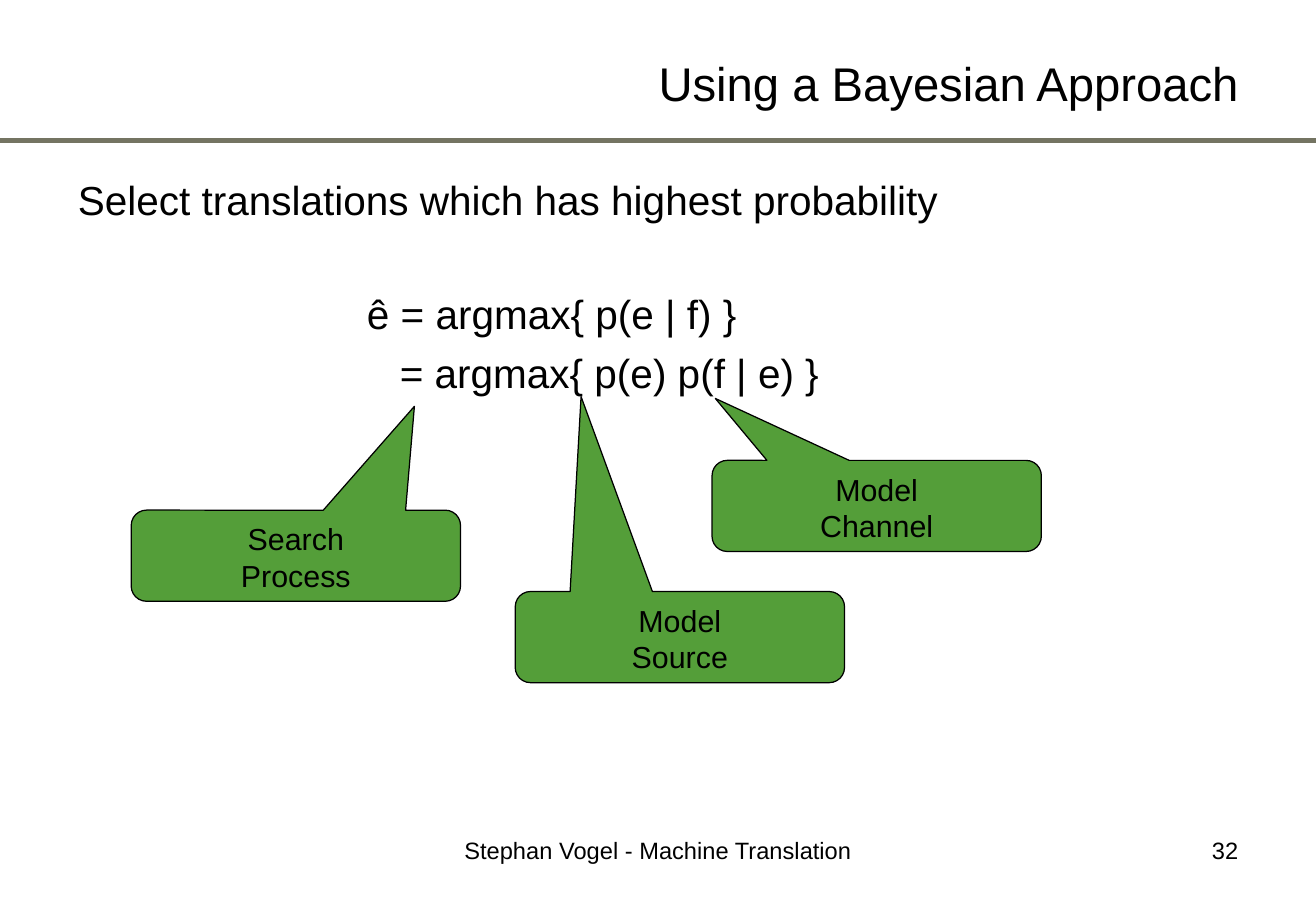
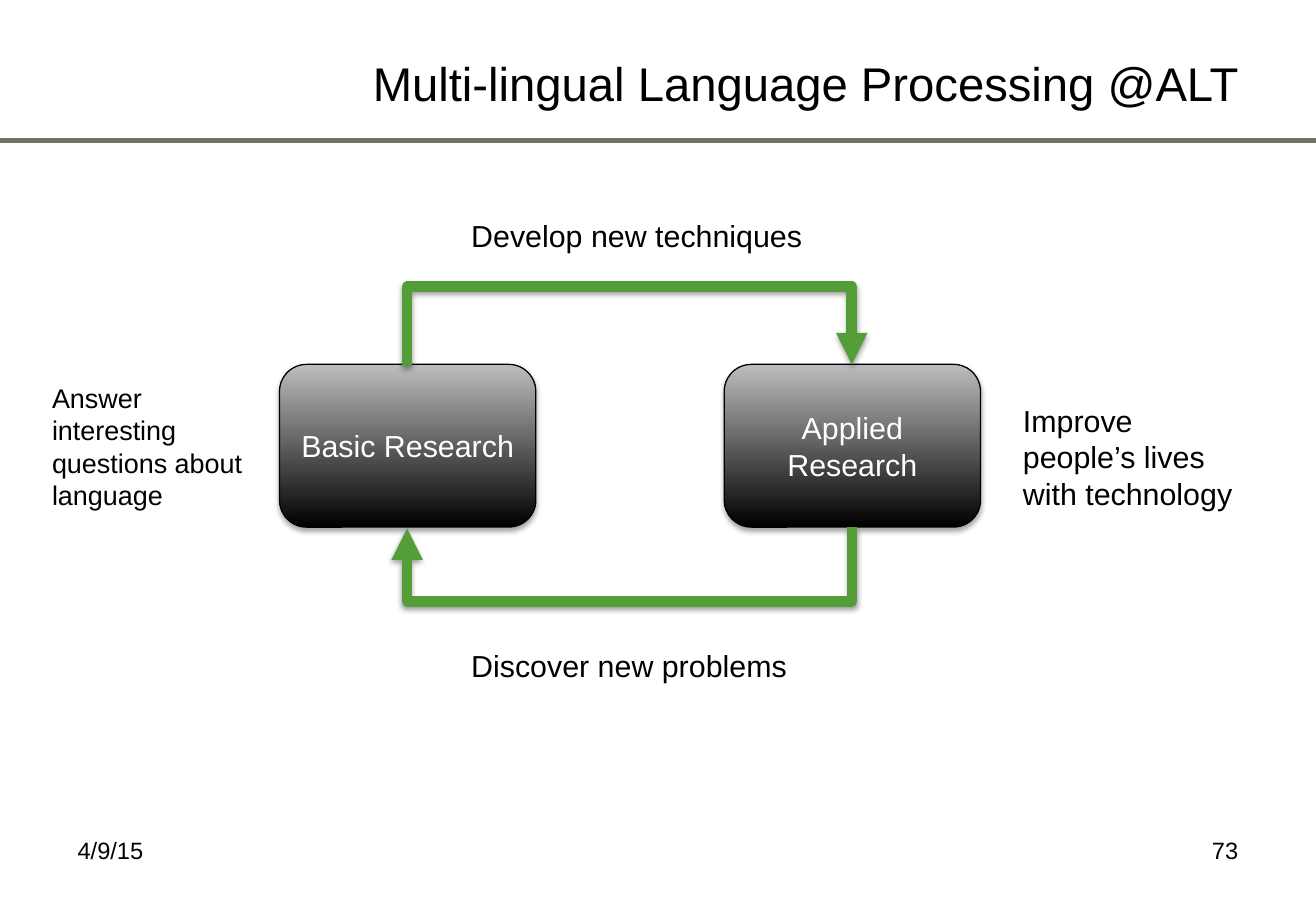
from lxml import etree
from pptx import Presentation
from pptx.dml.color import RGBColor
from pptx.enum.shapes import MSO_CONNECTOR, MSO_SHAPE
from pptx.enum.text import MSO_ANCHOR, MSO_AUTO_SIZE, PP_ALIGN
from pptx.oxml.ns import qn
from pptx.util import Emu, Pt

LEFT, CENTER, RIGHT = PP_ALIGN.LEFT, PP_ALIGN.CENTER, PP_ALIGN.RIGHT
TOP, MIDDLE = MSO_ANCHOR.TOP, MSO_ANCHOR.MIDDLE
STRAIGHT, ELBOW = MSO_CONNECTOR.STRAIGHT, MSO_CONNECTOR.ELBOW
CALLOUT, ROUNDED = MSO_SHAPE.ROUNDED_RECTANGULAR_CALLOUT, MSO_SHAPE.ROUNDED_RECTANGLE
NO_AUTOFIT = MSO_AUTO_SIZE.NONE

EMU_PER_PX = 9144
WIDTH, HEIGHT = 1083, 750
TITLE_CONTENT, TITLE_ONLY = 1, 5


def px(*lengths):
    return [Emu(round(length * EMU_PER_PX)) for length in lengths]


def color(value):
    return RGBColor.from_string(value)


def set_shadow(shape, opacity=0, distance=0):
    """Replace the theme shadow: none at zero opacity, else one falling straight down."""
    properties = shape._element.spPr
    for effects in properties.findall(qn("a:effectLst")):
        properties.remove(effects)
    effects = etree.SubElement(properties, qn("a:effectLst"))
    if opacity:
        outer = etree.SubElement(effects, qn("a:outerShdw"), blurRad="40000",
                                 dist=str(Pt(distance)), dir="5400000", rotWithShape="0")
        black = etree.SubElement(outer, qn("a:srgbClr"), val="000000")
        etree.SubElement(black, qn("a:alpha"), val=str(opacity * 1000))


class Deck:
    FONT = "Arial"
    BLACK, WHITE, GREEN, RULE, GRAY = "000000", "FFFFFF", "549E39", "747462", "BDBDBD"

    def __init__(self):
        self.presentation = Presentation()
        self.presentation.slide_width, self.presentation.slide_height = px(WIDTH, HEIGHT)
        self.slide = None

    def add_slide(self, layout, title, number):
        """Start a slide with the title, rule and page number that all slides share."""
        self.slide = self.presentation.slides.add_slide(self.presentation.slide_layouts[layout])
        self.place(self.slide.shapes.title, 270, 19, 759, 98)
        self.set_text(self.slide.shapes.title, [title], 28, RIGHT, MIDDLE)
        rule = self.slide.shapes.add_connector(STRAIGHT, *px(0, 116, WIDTH, 116))
        self.outline(rule, self.RULE, 3)
        set_shadow(rule)
        self.text(776, 683, 253, 52, number, 14, RIGHT)

    def place(self, shape, *box):
        shape.left, shape.top, shape.width, shape.height = px(*box)

    def outline(self, shape, line_color, width):
        shape.line.color.rgb = color(line_color)
        shape.line.width = Pt(width)

    def set_text(self, shape, lines, size, align=LEFT, anchor=TOP, text_color=BLACK):
        frame = shape.text_frame
        frame.word_wrap = True
        frame.auto_size = NO_AUTOFIT
        frame.vertical_anchor = anchor
        frame.text = "\n".join(lines)
        for paragraph in frame.paragraphs:
            paragraph.alignment = align
            self.set_font(paragraph, size, text_color)

    def set_font(self, paragraph, size, text_color):
        paragraph.font.name = self.FONT
        paragraph.font.size = Pt(size)
        paragraph.font.color.rgb = color(text_color)

    def text(self, left, top, width, height, line, size=18, align=LEFT):
        box = self.slide.shapes.add_textbox(*px(left, top, width, height))
        self.set_text(box, [line], size, align)

    def body(self, lines):
        """Fill the body with (text, indent in px, space before in points) lines."""
        body = self.slide.placeholders[1]
        self.place(body, 54, 139, 975, 531)
        body.text_frame.auto_size = NO_AUTOFIT
        body.text_frame.text = "\n".join(line for line, _, _ in lines)
        for paragraph, (_, indent, gap) in zip(body.text_frame.paragraphs, lines):
            properties = paragraph._p.get_or_add_pPr()
            properties.set("marL", str(px(indent)[0]))
            properties.set("indent", "0")
            paragraph.space_before = Pt(gap)
            etree.SubElement(properties, qn("a:buNone"))
            self.set_font(paragraph, 24, self.BLACK)

    def callout(self, left, top, lines, tip):
        """Add a callout whose tip is offset from its centre in parts of its size."""
        shape = self.slide.shapes.add_shape(CALLOUT, *px(left, top, 271, 75))
        shape.adjustments[0], shape.adjustments[1] = tip
        shape.fill.solid()
        shape.fill.fore_color.rgb = color(self.GREEN)
        self.outline(shape, self.BLACK, 0.75)
        set_shadow(shape)
        self.set_text(shape, lines, 18, CENTER)

    def gradient_box(self, left, top, width, height, label):
        shape = self.slide.shapes.add_shape(ROUNDED, *px(left, top, width, height))
        shape.fill.gradient()
        shape.fill.gradient_angle = 90
        for stop, shade in zip(shape.fill.gradient_stops, (self.BLACK, self.GRAY)):
            stop.color.rgb = color(shade)
        self.outline(shape, self.BLACK, 0.75)
        set_shadow(shape, 35, 1.8)
        self.set_text(shape, [label], 18, CENTER, MIDDLE, self.WHITE)

    def bent_arrow(self, begin, end, rail):
        """Leave begin vertically, run along y = rail, then turn to end.

        The elbow preset starts horizontally, so it is laid out turned back
        by 90 degrees around its centre and then rotated.
        """
        (x1, y1), (x2, y2) = begin, end
        center_x, center_y = (x1 + x2) / 2, (y1 + y2) / 2
        half_x, half_y = (y2 - y1) / 2, (x1 - x2) / 2
        arrow = self.slide.shapes.add_connector(
            ELBOW, *px(center_x - half_x, center_y - half_y, center_x + half_x, center_y + half_y))
        properties = arrow._element.spPr
        properties.find(qn("a:xfrm")).set("rot", "5400000")
        bend = round((rail - y1) / (y2 - y1) * 100000)
        guides = properties.find(qn("a:prstGeom")).find(qn("a:avLst"))
        etree.SubElement(guides, qn("a:gd"), name="adj1", fmla=f"val {bend}")
        self.outline(arrow, self.GREEN, 6.25)
        etree.SubElement(properties.find(qn("a:ln")), qn("a:tailEnd"), type="triangle")
        set_shadow(arrow, 38, 1.6)


def bayesian_slide(deck):
    deck.add_slide(TITLE_CONTENT, "Using a Bayesian Approach", "32")
    deck.text(370, 683, 343, 52, "Stephan Vogel - Machine Translation", 14, CENTER)
    deck.body([
        ("Select translations which has highest probability", 0, 0),
        ("ê = argmax{ p(e | f) }", 238, 39),
        ("= argmax{ p(e) p(f | e) }", 265, 6),
    ])
    deck.callout(586, 379, ["Model", "Channel"], (-0.49, -1.18))
    deck.callout(424, 487, ["Model", "Source"], (-0.3, -2.64))
    deck.callout(108, 420, ["Search", "Process"], (0.36, -1.64))


def research_slide(deck):
    deck.add_slide(TITLE_ONLY, "Multi-lingual Language Processing @ALT", "73")
    deck.text(54, 683, 253, 52, "4/9/15", 14)
    basic, applied, top, width, height = 230, 596, 300, 211, 134
    deck.gradient_box(basic, top, width, height, "Basic Research")
    deck.gradient_box(applied, top, width, height, "Applied Research")
    basic_middle, applied_middle = basic + width // 2, applied + width // 2
    bottom = top + height
    deck.bent_arrow((basic_middle, top + 1), (applied_middle, top), 235)
    deck.bent_arrow((applied_middle, bottom), (basic_middle, bottom + 1), 496)
    deck.text(832, 326, 197, 101, "Improve people’s lives with technology")
    deck.text(33, 309, 197, 118, "Answer interesting questions about language", 16)
    deck.text(378, 528, 300, 40, "Discover new problems")
    deck.text(378, 174, 300, 40, "Develop new techniques")


def main():
    deck = Deck()
    bayesian_slide(deck)
    research_slide(deck)
    deck.presentation.save("out.pptx")


if __name__ == "__main__":
    main()
